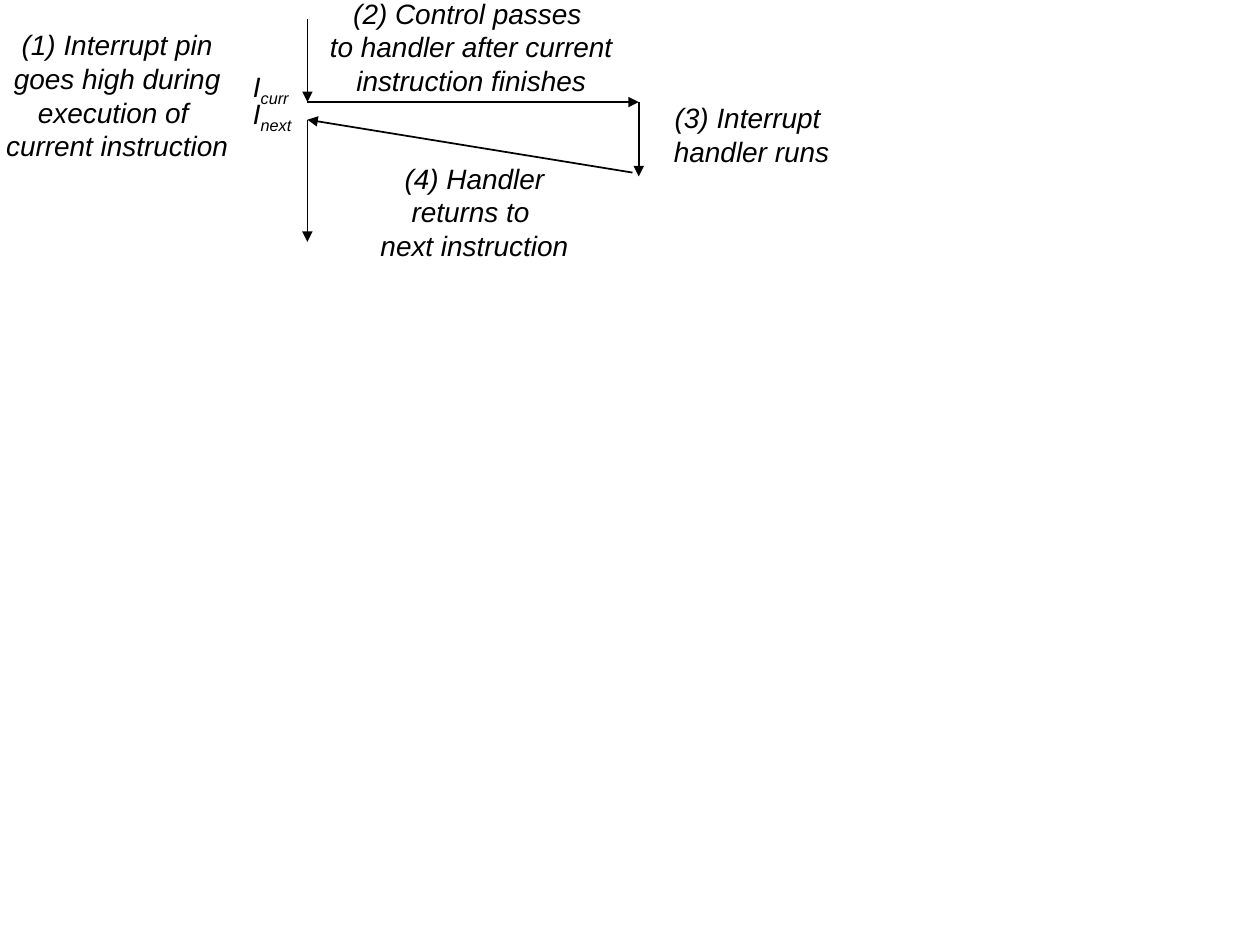
from lxml import etree
from pptx import Presentation, util as u
from pptx.dml.color import RGBColor
from pptx.enum import shapes, text
from pptx.oxml import ns

BLACK = "000000"
CENTER, LEFT = text.PP_ALIGN.CENTER, text.PP_ALIGN.LEFT
TOP, MIDDLE = text.MSO_ANCHOR.TOP, text.MSO_ANCHOR.MIDDLE


def paint(target, color):
    target.rgb = RGBColor.from_string(color)


def add_run(p, wording, subscript=False):
    r = p.add_run()
    r.text = wording
    r.font.name = "Arial"
    r.font.size = u.Pt(16)
    r.font.italic = True
    paint(r.font.color, BLACK)
    if subscript:
        r._r.get_or_add_rPr().set("baseline", "-25000")


def add_box(s, box, anchor=TOP, wrap=False):
    sp = s.shapes.add_textbox(*map(u.Inches, box))
    tf = sp.text_frame
    tf.word_wrap = wrap
    tf.auto_size = text.MSO_AUTO_SIZE.SHAPE_TO_FIT_TEXT
    tf.vertical_anchor = anchor
    return tf


def add_step(s, box, lines, anchor=TOP, wrap=False):
    tf = add_box(s, box, anchor, wrap)
    for i, line in enumerate(lines):
        p = tf.add_paragraph() if i else tf.paragraphs[0]
        p.alignment = CENTER
        add_run(p, line)


def add_instruction(s, box, index):
    p = add_box(s, box).paragraphs[0]
    p.alignment = LEFT
    add_run(p, "I")
    add_run(p, index, subscript=True)


def add_arrow(s, start, end):
    cn = s.shapes.add_connector(
        shapes.MSO_CONNECTOR.STRAIGHT, *map(u.Inches, start + end))
    cn.line.width = u.Pt(1)
    paint(cn.line.color, BLACK)
    ln = cn.line._get_or_add_ln()
    etree.SubElement(ln, ns.qn("a:tailEnd"), type="triangle")
    etree.SubElement(cn._element.spPr, ns.qn("a:effectLst"))


def add_control_flow(s, box):
    left, top, width, height = box
    right, bottom = left + width, top + height
    call_y, resume_y = 0.81, 0.95
    add_arrow(s, (left, top), (left, call_y))
    add_arrow(s, (left, call_y), (right, call_y))
    add_arrow(s, (right, call_y), (right, 1.4))
    add_arrow(s, (right - 0.05, 1.37), (left, resume_y))
    add_arrow(s, (left, resume_y), (left, bottom))


def main():
    prs = Presentation()
    prs.slide_width, prs.slide_height = u.Inches(10), u.Inches(7.5)
    s = prs.slides.add_slide(prs.slide_layouts[6])
    add_control_flow(s, (2.44, 0.15, 2.63, 1.77))
    add_step(s, (2.52, -0.08, 2.44, 0.9),
             ["(2) Control passes ", "to handler after current",
              "instruction finishes"])
    add_step(s, (5.15, 0.75, 1.63, 0.63),
             ["(3) Interrupt ", "handler runs"], wrap=True)
    add_step(s, (2.92, 1.23, 1.69, 0.9),
             ["(4) Handler", "returns to ", "next instruction"])
    add_instruction(s, (1.91, 0.5, 0.54, 0.41), "curr")
    add_instruction(s, (1.91, 0.72, 0.54, 0.41), "next")
    add_step(s, (-0.05, 0.17, 1.96, 1.17),
             ["(1) Interrupt pin", "goes high during", "execution of ",
              "current instruction"], anchor=MIDDLE)
    prs.save("out.pptx")


if __name__ == "__main__":
    main()
